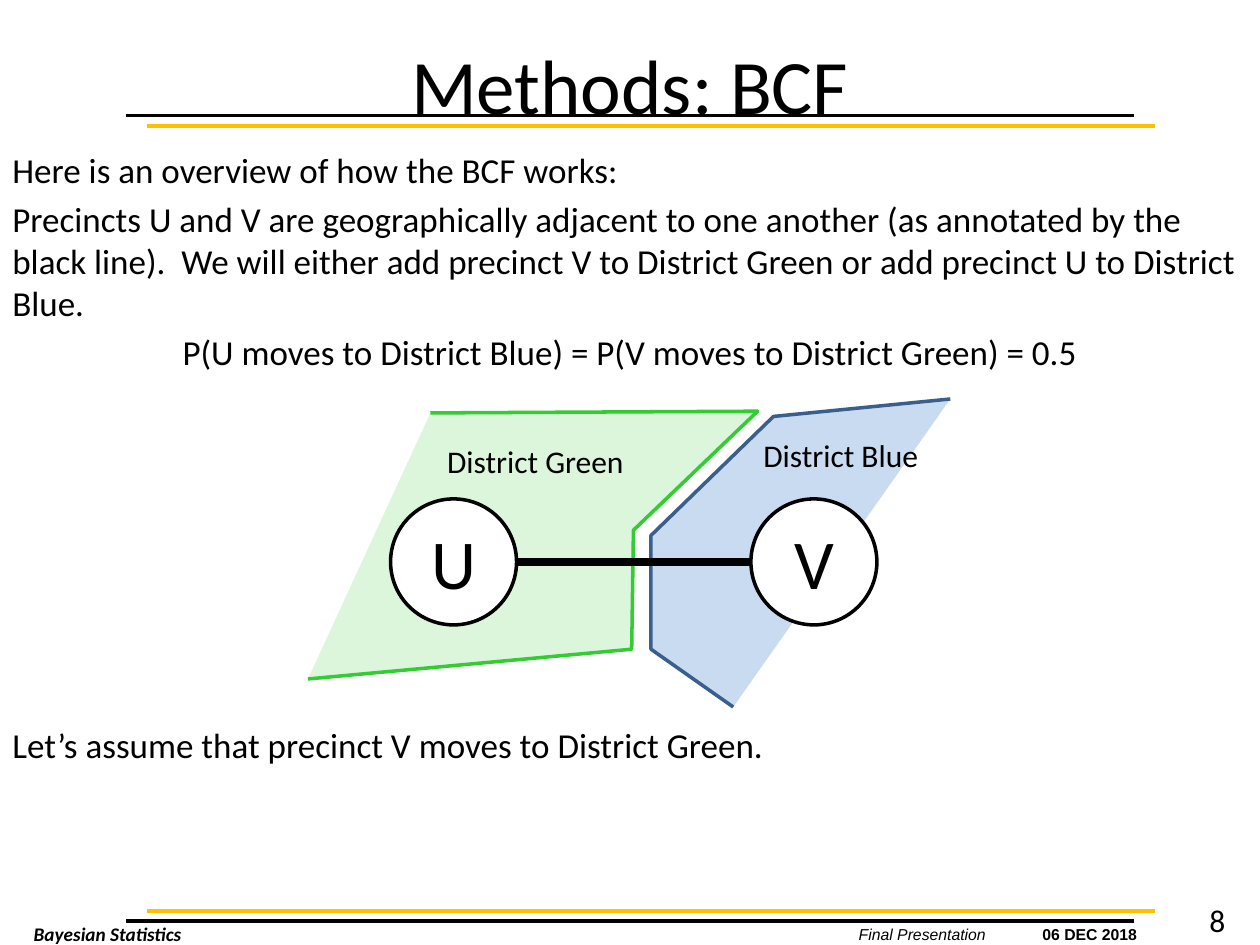
from pptx import Presentation
from pptx.dml.color import RGBColor
from pptx.enum import shapes, text
from pptx.oxml.ns import qn
from pptx.util import Pt
from lxml import etree

COLORS = {"black": "000000", "white": "FFFFFF", "gold": "FFC000", "green": "33CC33",
          "blue": "8EB4E3", "navy": "3A5F8C"}
LEFT, CENTER = text.PP_ALIGN.LEFT, text.PP_ALIGN.CENTER

deck = Presentation()
deck.slide_width, deck.slide_height = Pt(720), Pt(540)
page = deck.slides.add_slide(deck.slide_layouts[6])


def write(shape, lines, size, font="Calibri", bold=False, italic=False, wrap=True):
    """Fill a shape with (text, alignment) paragraphs in one style."""
    frame = shape.text_frame
    frame.word_wrap = wrap
    for index, (words, align) in enumerate(lines):
        para = frame.add_paragraph() if index else frame.paragraphs[0]
        para.text, para.alignment = words, align
        para.space_before = Pt(4 if index else 0)
        para.font.size, para.font.name = Pt(size), font
        para.font.bold, para.font.italic = bold, italic
        para.font.color.rgb = RGBColor.from_string(COLORS["black"])


def draw_line(x1, y1, x2, y2, color, width):
    line = page.shapes.add_connector(shapes.MSO_CONNECTOR.STRAIGHT, Pt(x1), Pt(y1), Pt(x2), Pt(y2))
    line.line.color.rgb = RGBColor.from_string(COLORS[color])
    line.line.width = Pt(width)
    etree.SubElement(line._element.spPr, qn("a:effectLst"))


# Header and footer rules
for x, y, color in [(72, 66, "black"), (84, 72, "gold"), (72, 526.4, "black"), (84, 520.6, "gold")]:
    draw_line(x, y, x + 576, y, color, 2)

# Title, body, footer: left, top, width, height, paragraphs, style
overview = [
    ("Here is an overview of how the BCF works:", LEFT),
    ("Precincts U and V are geographically adjacent to one another (as annotated by the "
     "black line).  We will either add precinct V to District Green or add precinct U to "
     "District Blue.", LEFT),
    ("P(U moves to District Blue) = P(V moves to District Green) = 0.5", CENTER),
]
blocks = [
    (36, 18, 648, 60, [("Methods: BCF", CENTER)], dict(size=44)),
    (0, 81.4, 720, 140, overview, dict(size=20)),
    (0, 410, 720, 32, [("Let’s assume that precinct V moves to District Green.", LEFT)], dict(size=20)),
    (12.2, 523.4, 100, 21, [("Bayesian Statistics", LEFT)],
     dict(size=11, bold=True, italic=True, wrap=False)),
    (476, 525, 102, 18, [("Final Presentation", CENTER)], dict(size=9, font="Arial", italic=True)),
    (571.7, 525, 102, 18, [("06 DEC 2018", CENTER)], dict(size=9, font="Arial", bold=True)),
    (684, 511.2, 36, 28.8, [("8", LEFT)], dict(size=18)),
]
for left, top, width, height, lines, style in blocks:
    box = page.shapes.add_textbox(Pt(left), Pt(top), Pt(width), Pt(height))
    write(box, lines, **style)

# Districts: outline points, fill, opacity in percent, line
districts = [
    ([(419, 403.7), (372.2, 370.8), (372.2, 306), (442, 238.2), (543.4, 228.2)], "blue", 48, "navy"),
    ([(245.5, 236.2), (432.9, 235.2), (362, 303), (361, 371), (176.3, 388)], "green", 17, "green"),
]
for points, fill, opacity, outline in districts:
    builder = page.shapes.build_freeform(*points[0], scale=Pt(1))
    builder.add_line_segments(points[1:], close=False)
    district = builder.convert_to_shape()
    district.shadow.inherit = False
    district.fill.solid()
    district.fill.fore_color.rgb = RGBColor.from_string(COLORS[fill])
    fill_color = district._element.spPr.find(qn("a:solidFill"))[0]
    etree.SubElement(fill_color, qn("a:alpha"), val=str(opacity * 1000))
    district.line.color.rgb = RGBColor.from_string(COLORS[outline])
    district.line.width = Pt(2)

# Precincts and their adjacency line
for name, left in [("U", 223.2), ("V", 429.1)]:
    precinct = page.shapes.add_shape(shapes.MSO_SHAPE.OVAL, Pt(left), Pt(285.1), Pt(72), Pt(72))
    precinct.shadow.inherit = False
    precinct.fill.solid()
    precinct.fill.fore_color.rgb = RGBColor.from_string(COLORS["white"])
    precinct.line.color.rgb = RGBColor.from_string(COLORS["black"])
    precinct.line.width = Pt(2)
    precinct.text_frame.vertical_anchor = text.MSO_ANCHOR.MIDDLE
    write(precinct, [(name, CENTER)], 40)
draw_line(295.2, 321.1, 429.1, 321.1, "black", 4.5)

# District labels
for label, left, top, width in [("District Blue", 429.1, 245.5, 103.7), ("District Green", 248.4, 249.1, 116.6)]:
    box = page.shapes.add_textbox(Pt(left), Pt(top), Pt(width), Pt(29))
    write(box, [(label, LEFT)], 18, wrap=False)

deck.save("out.pptx")
